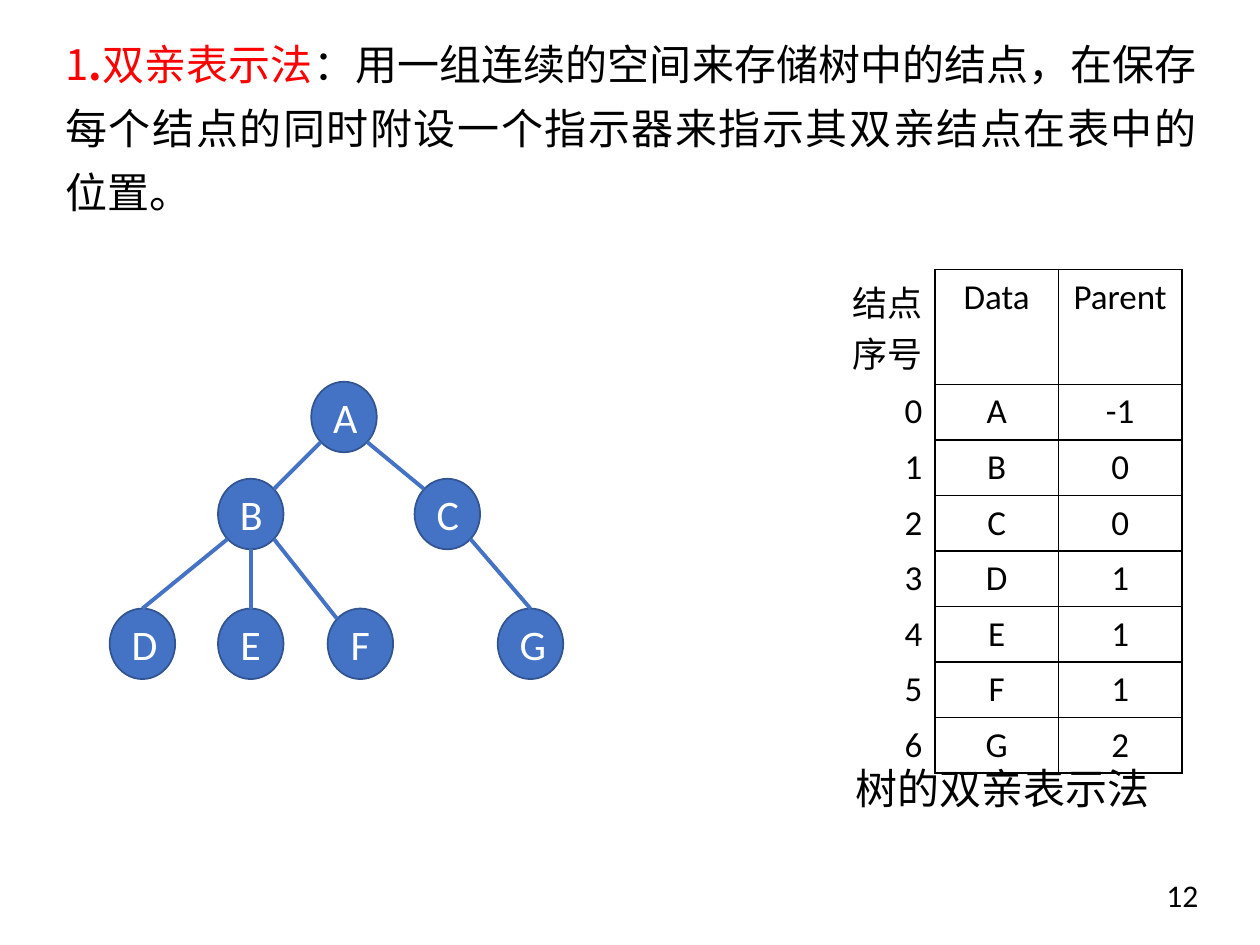
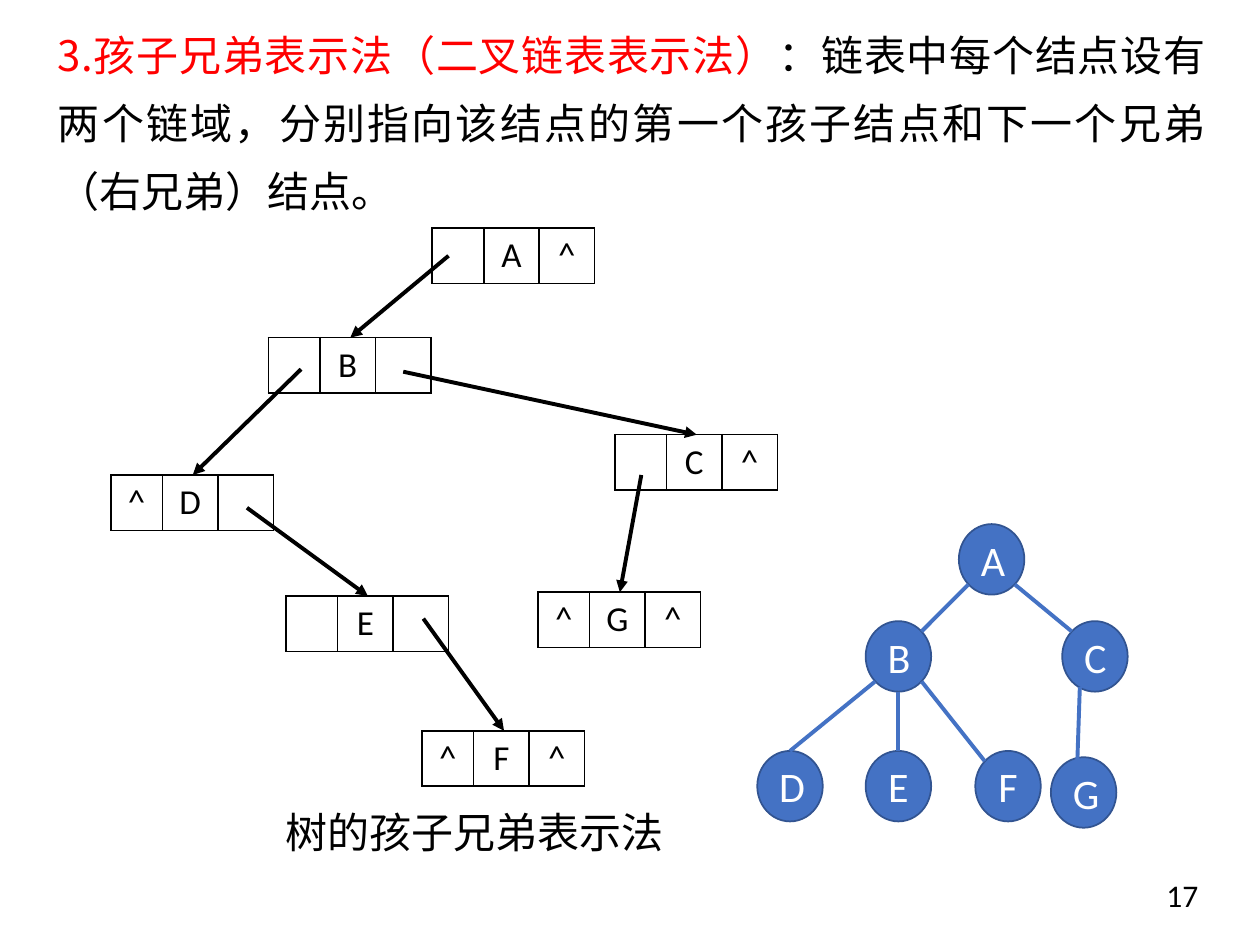
from dataclasses import dataclass, field
from typing import NamedTuple

from lxml.etree import SubElement
from pptx import Presentation
from pptx.dml.color import RGBColor
from pptx.enum.shapes import MSO_CONNECTOR as Connector, MSO_SHAPE as Preset
from pptx.enum.text import MSO_ANCHOR as Anchor, MSO_AUTO_SIZE as AutoSize, PP_ALIGN as Align
from pptx.oxml.ns import qn
from pptx.util import Inches, Pt

BLACK, WHITE, RED = "000000", "FFFFFF", "FF0000"
BLUE, NAVY = "4472C4", "325491"
LATIN, HAN = "Calibri", "Noto Sans CJK SC"
BODY = {"size": Pt(24), "name": HAN}
CELL = {"size": Pt(20), "name": LATIN}
NODE = {"size": Pt(24), "name": LATIN}
NUMBER = {"size": Pt(18), "name": LATIN}
NODE_WIDTH, NODE_HEIGHT = 0.52, 0.56
ROW_HEIGHT = 0.44
RECORD_COLUMNS = (0.41, 0.44, 0.44)
RECORD_ENTRY = 0.65
ALL_SIDES = "LRTB"


class Point(NamedTuple):
    x: float
    y: float


class Area(NamedTuple):
    left: float
    top: float
    width: float
    height: float


class Edge(NamedTuple):
    parent: str
    child: str
    start: Point
    end: Point


class Record(NamedTuple):
    left: float
    top: float
    cells: tuple[str, str, str]


class Link(NamedTuple):
    source: str
    offset: Point
    target: str


class Phrase(NamedTuple):
    text: str
    color: str = BLACK
    bold: bool = False


@dataclass
class Intro:
    area: Area
    phrases: list[Phrase]
    paragraph: dict = field(default_factory=dict)
    frame: dict = field(default_factory=dict)


@dataclass
class Tree:
    origin: Point
    nodes: dict[str, Point]
    edges: list[Edge]


DIAGONAL = 0.71
TOP, BOTTOM = Point(0, -1), Point(0, 1)
TOP_LEFT, TOP_RIGHT = Point(-DIAGONAL, -DIAGONAL), Point(DIAGONAL, -DIAGONAL)
BOTTOM_LEFT, BOTTOM_RIGHT = Point(-DIAGONAL, DIAGONAL), Point(DIAGONAL, DIAGONAL)

NODES = {
    "A": Point(2.47, 3.03), "B": Point(1.73, 3.8), "C": Point(3.29, 3.8),
    "D": Point(0.87, 4.83), "E": Point(1.73, 4.83), "F": Point(2.6, 4.83),
    "G": Point(3.95, 4.83),
}
SHARED_EDGES = [
    Edge("A", "B", BOTTOM_LEFT, TOP_RIGHT),
    Edge("B", "D", BOTTOM_LEFT, TOP),
    Edge("B", "E", BOTTOM, TOP),
    Edge("B", "F", BOTTOM_RIGHT, TOP_LEFT),
    Edge("A", "C", BOTTOM_RIGHT, TOP_LEFT),
]
WIDE_TREE = Tree(Point(0, 0), NODES, SHARED_EDGES + [Edge("C", "G", BOTTOM_RIGHT, TOP)])
NARROW_TREE = Tree(
    Point(5.14, 1.13), NODES | {"G": Point(3.2, 4.88)},
    SHARED_EDGES + [Edge("C", "G", Point(-0.46, 0.87), Point(-0.19, -0.89))],
)

PARENT_ROWS = [
    ("结点\n序号", "Data", "Parent"),
    *((str(index), name, parent)
      for index, (name, parent) in enumerate(zip("ABCDEFG", ("-1", "0", "0", "1", "1", "1", "2")))),
]

RECORDS = {
    "A": Record(3.43, 1.81, ("", "A", "^")),
    "B": Record(2.13, 2.68, ("", "B", "")),
    "D": Record(0.88, 3.77, ("^", "D", "")),
    "E": Record(2.27, 4.73, ("", "E", "")),
    "F": Record(3.35, 5.8, ("^", "F", "^")),
    "C": Record(4.88, 3.45, ("", "C", "^")),
    "G": Record(4.27, 4.7, ("^", "G", "^")),
}
LINKS = [
    Link("A", Point(0.13, 0.22), "B"),
    Link("B", Point(0.26, 0.25), "D"),
    Link("D", Point(1.08, 0.26), "E"),
    Link("E", Point(1.09, 0.18), "F"),
    Link("B", Point(1.07, 0.27), "C"),
    Link("C", Point(0.21, 0.32), "G"),
]

PARENT_INTRO = Intro(
    Area(0.42, 0.15, 9.18, 1.62),
    [Phrase("1", RED), Phrase(".", RED, True), Phrase("双亲表示法", RED),
     Phrase("：用一组连续的空间来存储树中的结点，在保存每个结点的同时附设一个指示器来指示其双亲结点在表中的位置。")],
    {"line_spacing": Pt(36.6)},
)
SIBLING_INTRO = Intro(
    Area(0.46, 0.09, 9.11, 1.94),
    [Phrase("3.孩子兄弟表示法（二叉链表表示法）", RED),
     Phrase("：链表中每个结点设有两个链域，分别指向该结点的第一个孩子结点和下一个兄弟（右兄弟）结点。")],
    {"line_spacing": Pt(39)},
    dict.fromkeys(("margin_left", "margin_right", "margin_top", "margin_bottom"), 0),
)


def rgb(color: str) -> RGBColor:
    return RGBColor.from_string(color)


def apply(target, values: dict) -> None:
    for name, value in values.items():
        setattr(target, name, value)


def add_span(para, text: str, style: dict, color: str = BLACK, bold: bool = False) -> None:
    span = para.add_run()
    span.text = text
    apply(span.font, style | {"bold": bold})
    span.font.color.rgb = rgb(color)
    SubElement(span.font._element, qn("a:ea"), typeface=HAN)


def add_box(page, area: Area, frame: dict):
    box = page.shapes.add_textbox(*map(Inches, area))
    apply(box.text_frame, {"word_wrap": True} | frame)
    return box.text_frame.paragraphs[0]


def add_intro(page, intro: Intro) -> None:
    para = add_box(page, intro.area, intro.frame)
    apply(para, {"alignment": Align.JUSTIFY} | intro.paragraph)
    for phrase in intro.phrases:
        add_span(para, phrase.text, BODY, phrase.color, phrase.bold)


def add_caption(page, text: str, area: Area) -> None:
    para = add_box(page, area, {"word_wrap": False, "auto_size": AutoSize.SHAPE_TO_FIT_TEXT})
    add_span(para, text, BODY)


def add_page_number(page, number: int) -> None:
    add_span(add_box(page, Area(9.16, 6.9, 1.13, 0.4), {}), str(number), NUMBER)


def add_line(page, start: Point, end: Point, color: str, arrow: bool = False):
    line = page.shapes.add_connector(Connector.STRAIGHT, *map(Inches, (*start, *end)))
    line.line.color.rgb = rgb(color)
    line.line.width = Pt(2.25)
    if arrow:
        SubElement(line.line._get_or_add_ln(), qn("a:tailEnd"), type="triangle")
    SubElement(line._element.spPr, qn("a:effectLst"))
    return line


def add_node(page, name: str, corner: Point):
    node = page.shapes.add_shape(Preset.OVAL, *map(Inches, (*corner, NODE_WIDTH, NODE_HEIGHT)))
    node.shadow.inherit = False
    node.fill.solid()
    node.fill.fore_color.rgb = rgb(BLUE)
    node.line.color.rgb = rgb(NAVY)
    node.line.width = Pt(1)
    node.text_frame.vertical_anchor = Anchor.MIDDLE
    para = node.text_frame.paragraphs[0]
    para.alignment = Align.CENTER
    add_span(para, name, NODE, WHITE)
    return node


def add_tree(page, tree: Tree) -> None:
    corners = {name: Point(tree.origin.x + at.x, tree.origin.y + at.y)
               for name, at in tree.nodes.items()}
    nodes = {name: add_node(page, name, corner) for name, corner in corners.items()}

    def rim(name: str, side: Point) -> Point:
        corner = corners[name]
        return Point(corner.x + NODE_WIDTH * (1 + side.x) / 2,
                     corner.y + NODE_HEIGHT * (1 + side.y) / 2)

    for edge in tree.edges:
        line = add_line(page, rim(edge.parent, edge.start), rim(edge.child, edge.end), BLUE)
        if edge.end == TOP:
            line.end_connect(nodes[edge.child], 0)


def set_borders(cell, sides: str) -> None:
    properties = cell._tc.get_or_add_tcPr()
    for side in ALL_SIDES:
        border = SubElement(properties, qn(f"a:ln{side}"), w=str(Pt(1)))
        if side in sides:
            fill = SubElement(border, qn("a:solidFill"))
            SubElement(fill, qn("a:srgbClr"), val=BLACK)
        else:
            SubElement(border, qn("a:noFill"))


def fill_cell(cell, text: str, alignment: Align, sides: str) -> None:
    set_borders(cell, sides)
    cell.fill.background()
    for index, line in enumerate(text.split("\n")):
        frame = cell.text_frame
        para = frame.add_paragraph() if index else frame.paragraphs[0]
        para.alignment = alignment
        if line:
            add_span(para, line, CELL)


def add_grid(page, corner: Point, widths: tuple, heights: list, rows: list,
             labelled: bool = False) -> None:
    area = Area(*corner, sum(widths), sum(heights))
    table = page.shapes.add_table(len(rows), len(widths), *map(Inches, area)).table
    apply(table, {"first_row": False, "horz_banding": False})
    for column, width in zip(table.columns, widths):
        column.width = Inches(width)
    for row, height, texts in zip(table.rows, heights, rows):
        row.height = Inches(height)
        for index, (cell, text) in enumerate(zip(row.cells, texts)):
            if labelled and index == 0:
                fill_cell(cell, text, Align.RIGHT, "R")
            else:
                fill_cell(cell, text, Align.CENTER, ALL_SIDES)


def add_linked_records(page) -> None:
    for record in RECORDS.values():
        add_grid(page, Point(record.left, record.top), RECORD_COLUMNS, [ROW_HEIGHT], [record.cells])
    for link in LINKS:
        source, target = RECORDS[link.source], RECORDS[link.target]
        start = Point(source.left + link.offset.x, source.top + link.offset.y)
        add_line(page, start, Point(target.left + RECORD_ENTRY, target.top), BLACK, arrow=True)


def add_page(deck):
    return deck.slides.add_slide(deck.slide_layouts[6])


def build_parent_page(deck) -> None:
    page = add_page(deck)
    add_tree(page, WIDE_TREE)
    heights = [0.91] + [ROW_HEIGHT] * (len(PARENT_ROWS) - 1)
    add_grid(page, Point(6.44, 2.14), (0.98,) * 3, heights, PARENT_ROWS, labelled=True)
    add_caption(page, "树的双亲表示法", Area(6.69, 6, 2.56, 0.5))
    add_intro(page, PARENT_INTRO)
    add_page_number(page, 12)


def build_sibling_page(deck) -> None:
    page = add_page(deck)
    add_intro(page, SIBLING_INTRO)
    add_tree(page, NARROW_TREE)
    add_linked_records(page)
    add_caption(page, "树的孩子兄弟表示法", Area(2.17, 6.35, 3.23, 0.5))
    add_page_number(page, 17)


def main() -> None:
    deck = Presentation()
    apply(deck, {"slide_width": Inches(10), "slide_height": Inches(7.5)})
    build_parent_page(deck)
    build_sibling_page(deck)
    deck.save("out.pptx")


if __name__ == "__main__":
    main()
